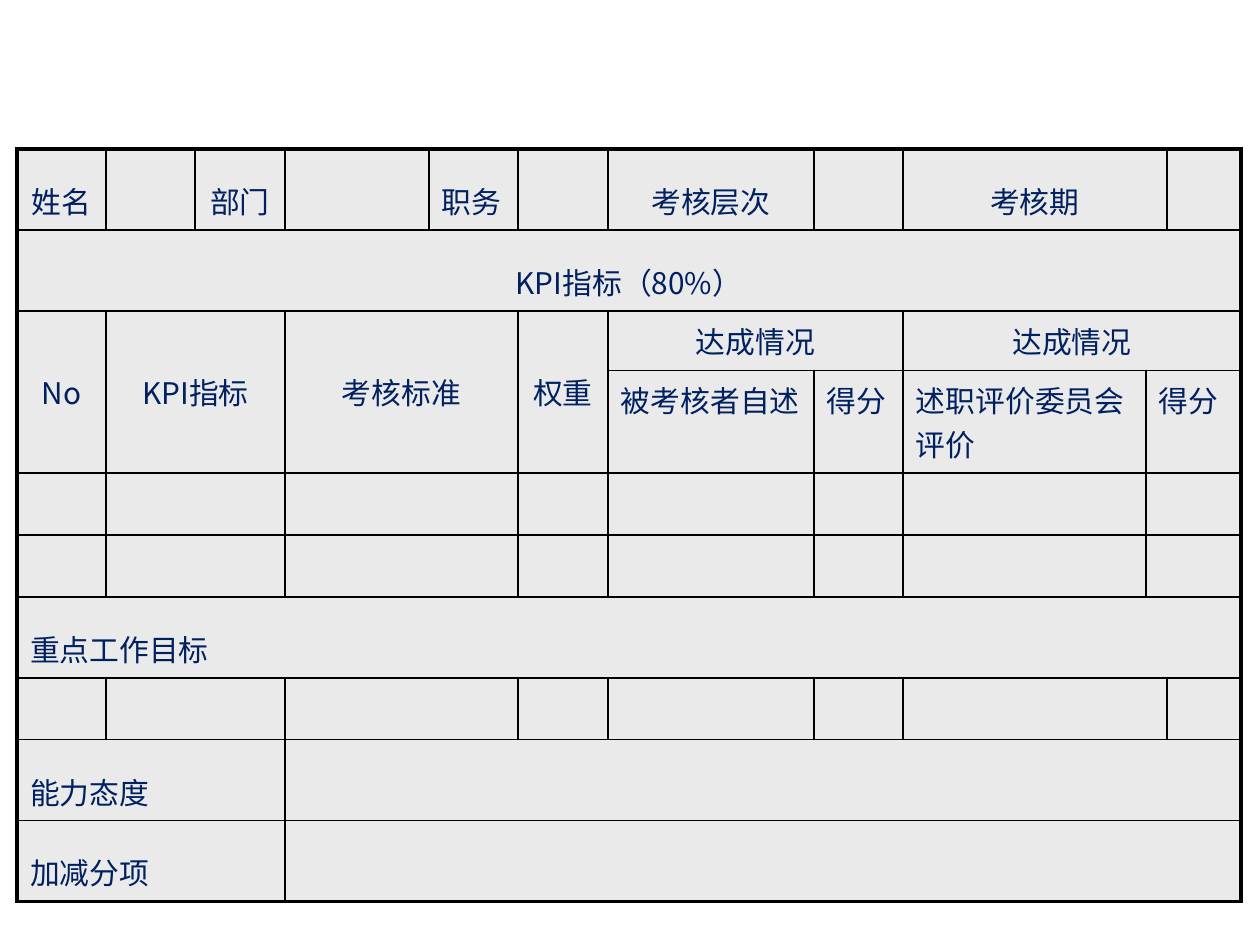
from lxml.etree import SubElement
from pptx import Presentation
from pptx.dml.color import RGBColor
from pptx.enum.text import MSO_ANCHOR as Anchor, PP_ALIGN as Align
from pptx.oxml.ns import qn
from pptx.util import Pt

SCALE = 914400 / 126
NAVY = RGBColor(0x00, 0x20, 0x60)
PALE_GREY = RGBColor(0xEA, 0xEA, 0xEA)
BLACK = RGBColor(0x00, 0x00, 0x00)
THIN, THICK = 1, 2.25
LEFT, CENTER, MIDDLE = Align.LEFT, Align.CENTER, Anchor.MIDDLE

COLUMNS = [89, 89, 90, 144, 89, 90, 206, 89, 243, 21, 74]
ROWS = [74, 62, 50, 86] + [62] * 6


def px(length):
    return round(length * SCALE)


def assign(target, values):
    for name, value in values.items():
        setattr(target, name, value)


def blanks(*spans):
    return [("", span, LEFT, 1) for span in spans]


def labels(*texts):
    return [(text, span, align, 1) for text, span, align in texts]


INDICATOR = blanks(1, 2, 2, 1, 1, 1, 1, 2)
FORM = [
    (0, 1.5, labels(
        ("姓名", 1, CENTER), ("", 1, LEFT), ("部门", 1, CENTER), ("", 1, LEFT),
        ("职务", 1, LEFT), ("", 1, LEFT), ("考核层次", 1, CENTER), ("", 1, LEFT),
        ("考核期", 2, CENTER), ("", 1, LEFT))),
    (0, 1.5, labels(("KPI指标（80%）", 11, CENTER))),
    (0, 1, [
        ("No", 1, CENTER, 2), ("KPI指标", 2, CENTER, 2),
        ("考核标准", 2, CENTER, 2), ("权重", 1, CENTER, 2),
        ("达成情况", 2, CENTER, 1), ("达成情况", 3, CENTER, 1)]),
    (6, 1, labels(
        ("被考核者自述", 1, LEFT), ("得分", 1, LEFT),
        ("述职评价委员会评价", 1, LEFT), ("得分", 2, LEFT))),
    (0, 1, INDICATOR),
    (0, 1, INDICATOR),
    (0, 1.5, labels(("重点工作目标", 11, LEFT))),
    (0, 1, blanks(1, 2, 2, 1, 1, 1, 2, 1)),
    (0, 1.5, labels(("能力态度", 3, LEFT), ("", 8, LEFT))),
    (0, 1.5, labels(("加减分项", 3, LEFT), ("", 8, LEFT))),
]


class FormSlide:
    font_name = "Noto Sans CJK SC"
    font_size = Pt(17)
    margins = {"margin_left": px(13), "margin_right": px(13),
               "margin_top": px(8), "margin_bottom": px(8)}

    def __init__(self, deck):
        self.slide = deck.slides.add_slide(deck.slide_layouts[6])

    def table(self, left, top, columns, rows, content):
        grid = self.slide.shapes.add_table(
            len(rows), len(columns), px(left), px(top),
            px(sum(columns)), px(sum(rows))).table
        assign(grid, {"first_row": False, "horz_banding": False})
        for column, width in zip(grid.columns, columns):
            column.width = px(width)
        for row, height in zip(grid.rows, rows):
            row.height = px(height)
        for row, (column, spacing, entries) in enumerate(content):
            for text, span, align, depth in entries:
                self.region(grid, row, column, depth, span)
                if text:
                    self.label(grid.cell(row, column), text, align, spacing)
                column += span

    def region(self, grid, row, column, depth, span):
        bottom, right = row + depth, column + span
        outer = {"L": column == 0, "R": right == len(grid.columns),
                 "T": row == 0, "B": bottom == len(grid.rows)}
        if depth * span > 1:
            grid.cell(row, column).merge(grid.cell(bottom - 1, right - 1))
        for y in range(row, bottom):
            for x in range(column, right):
                cell = grid.cell(y, x)
                self.borders(cell, outer)
                cell.fill.solid()
                cell.fill.fore_color.rgb = PALE_GREY
                assign(cell, self.margins)
                if depth > 1:
                    cell.vertical_anchor = MIDDLE

    def borders(self, cell, outer):
        properties = cell._tc.get_or_add_tcPr()
        for side, is_outer in outer.items():
            width = Pt(THICK if is_outer else THIN)
            line = SubElement(properties, qn(f"a:ln{side}"), w=str(width))
            fill = SubElement(line, qn("a:solidFill"))
            SubElement(fill, qn("a:srgbClr"), val=str(BLACK))

    def label(self, cell, text, align, spacing):
        paragraph = cell.text_frame.paragraphs[0]
        assign(paragraph, {"alignment": align, "line_spacing": float(spacing)})
        run = paragraph.add_run()
        run.text = text
        assign(run.font, {"name": self.font_name, "size": self.font_size})
        run.font.color.rgb = NAVY
        SubElement(run._r.get_or_add_rPr(), qn("a:ea"), typeface=self.font_name)


def main():
    deck = Presentation()
    assign(deck, {"slide_width": px(1260), "slide_height": px(945)})
    FormSlide(deck).table(17, 149, COLUMNS, ROWS, FORM)
    deck.save("out.pptx")


if __name__ == "__main__":
    main()
